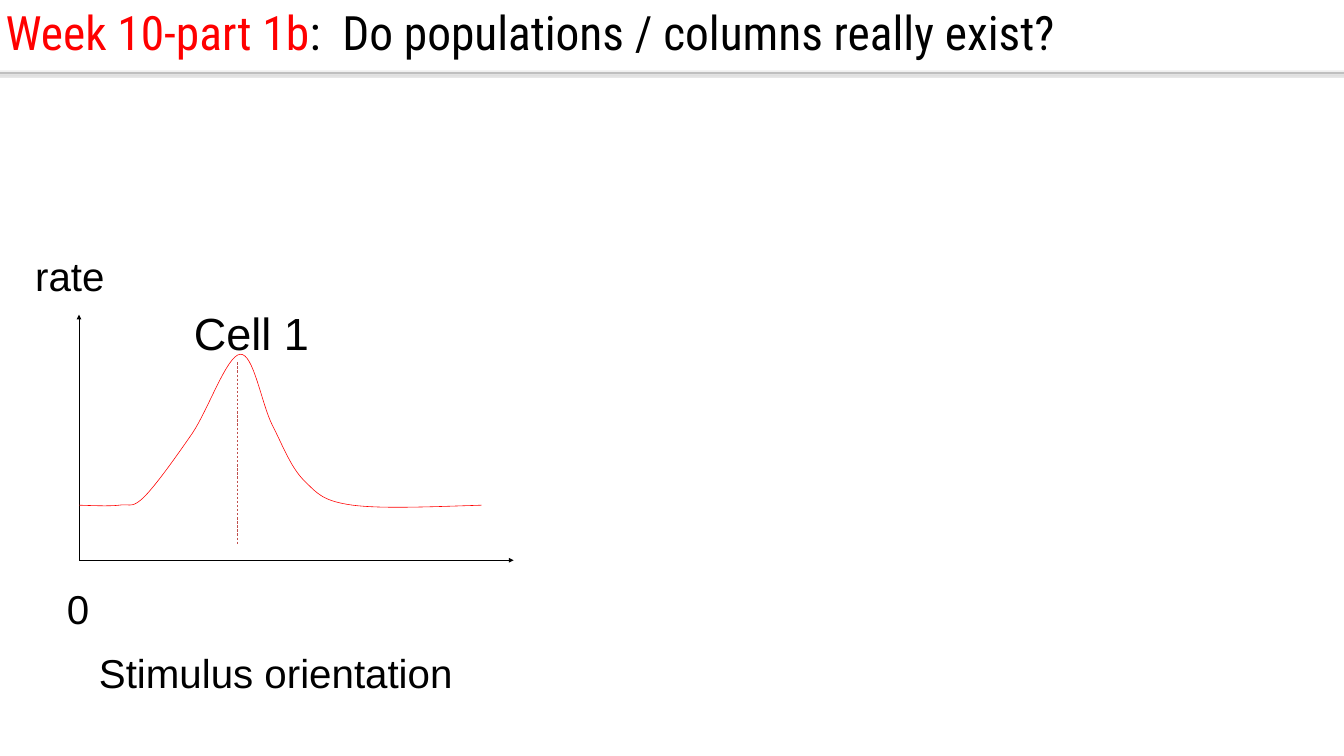
from pptx import Presentation
from pptx.dml.color import RGBColor
from pptx.enum.dml import MSO_LINE
from pptx.enum.shapes import MSO_CONNECTOR
from pptx.enum.text import MSO_AUTO_SIZE
from pptx.oxml import parse_xml
from pptx.oxml.ns import nsdecls
from pptx.util import Cm, Pt


def rgb(color):
    return RGBColor.from_string(color)


prs = Presentation()
prs.slide_width, prs.slide_height = Cm(60.02), Cm(33.76)
s = prs.slides.add_slide(prs.slide_layouts[6])

# Axes, preferred orientation and header rule
ORIGIN_X, ORIGIN_Y = 3.53, 25.02
PEAK_X, HEADER_Y = 10.62, 3.25
HEADER_SHADOW = (
    '<a:outerShdw blurRad="39370" dist="20320" dir="5400000" rotWithShape="0">'
    '<a:srgbClr val="000000"><a:alpha val="38000"/></a:srgbClr></a:outerShdw>'
)
lines = [
    # x1, y1, x2, y2, color, width, dash, arrow, effect
    (ORIGIN_X, ORIGIN_Y, 22.94, ORIGIN_Y, "000000", 0.75, None, True, ""),
    (ORIGIN_X, ORIGIN_Y, ORIGIN_X, 14.05, "000000", 0.75, None, True, ""),
    (PEAK_X, 16.18, PEAK_X, 24.33, "C0504D", 0.75, MSO_LINE.DASH, False, ""),
    (-0.61, HEADER_Y, 61.77, HEADER_Y, "BFBFBF", 2, None, False, HEADER_SHADOW),
]
for x1, y1, x2, y2, color, width, dash, arrow, effect in lines:
    sp = s.shapes.add_connector(MSO_CONNECTOR.STRAIGHT, Cm(x1), Cm(y1), Cm(x2), Cm(y2))
    sp.line.color.rgb = rgb(color)
    sp.line.width = Pt(width)
    if dash:
        sp.line.dash_style = dash
    if arrow:
        sp.line._get_or_add_ln().append(
            parse_xml(f'<a:tailEnd {nsdecls("a")} type="triangle"/>'))
    sp._element.spPr.append(
        parse_xml(f'<a:effectLst {nsdecls("a")}>{effect}</a:effectLst>'))

# Tuning curve: cubic segments given as two control points and an end point
STEPS = 16
start = (ORIGIN_X, 22.56)
segments = [
    ((4.19, 22.58), (4.88, 22.61), (5.33, 22.56)),
    ((5.82, 22.48), (5.87, 22.73), (6.43, 22.2)),
    ((6.96, 21.67), (7.85, 20.42), (8.59, 19.35)),
    ((9.3, 18.29), (10.13, 15.88), (10.72, 15.82)),
    ((11.33, 15.75), (11.68, 18.06), (12.17, 19)),
    ((12.65, 19.94), (13, 20.9), (13.61, 21.49)),
    ((14.2, 22.07), (14.45, 22.38), (15.75, 22.56)),
    ((17.07, 22.73), (19.28, 22.63), (21.51, 22.56)),
]
points = [start]
for c1, c2, end in segments:
    p0 = points[-1]
    for i in range(1, STEPS + 1):
        t = i / STEPS
        u = 1 - t
        points.append(tuple(
            u**3 * a + 3 * u * u * t * b + 3 * u * t * t * c + t**3 * d
            for a, b, c, d in zip(p0, c1, c2, end)))
curve = [(Cm(x), Cm(y)) for x, y in points]
builder = s.shapes.build_freeform(*curve[0])
builder.add_line_segments(curve[1:], close=False)
sp = builder.convert_to_shape()
sp.shadow.inherit = False
sp.fill.background()
sp.line.color.rgb = rgb("FF0000")
sp.line.width = Pt(0.75)

# Labels and title
label_format = dict(margin_left=Cm(0.53), margin_right=Cm(0.53),
                    margin_top=Cm(0.28), margin_bottom=Cm(0.28),
                    word_wrap=False, auto_size=MSO_AUTO_SIZE.SHAPE_TO_FIT_TEXT)
title_format = dict(word_wrap=True)
title_runs = [("Week 10-part 1b", "FF0000"),
              (":  Do populations / columns really exist?", "000000")]
texts = [
    # left, top, width, height, runs, font, size, space after, frame format
    (2.46, 25.83, 2.08, 2.72, [("0", "000000")], "Arial", 51, 0, label_format),
    (1.04, 10.95, 4.22, 2.72, [("rate", "000000")], "Arial", 51, 0, label_format),
    (3.89, 28.68, 17.04, 2.72, [("Stimulus orientation", "000000")], "Arial", 51, 0,
     label_format),
    (8.13, 13.34, 6.27, 2.97, [("Cell 1", "000000")], "Arial", 57, 0, label_format),
    (0, 0, 57.94, 4.09, title_runs, "Roboto Condensed", 60, 28.4, title_format),
]
for left, top, width, height, runs, font, size, after, frame_format in texts:
    tf = s.shapes.add_textbox(Cm(left), Cm(top), Cm(width), Cm(height)).text_frame
    for name, value in frame_format.items():
        setattr(tf, name, value)
    p = tf.paragraphs[0]
    p.space_after = Pt(after)
    for text, color in runs:
        r = p.add_run()
        r.text = text
        r.font.name = font
        r.font.size = Pt(size)
        r.font.color.rgb = rgb(color)

prs.save("out.pptx")
